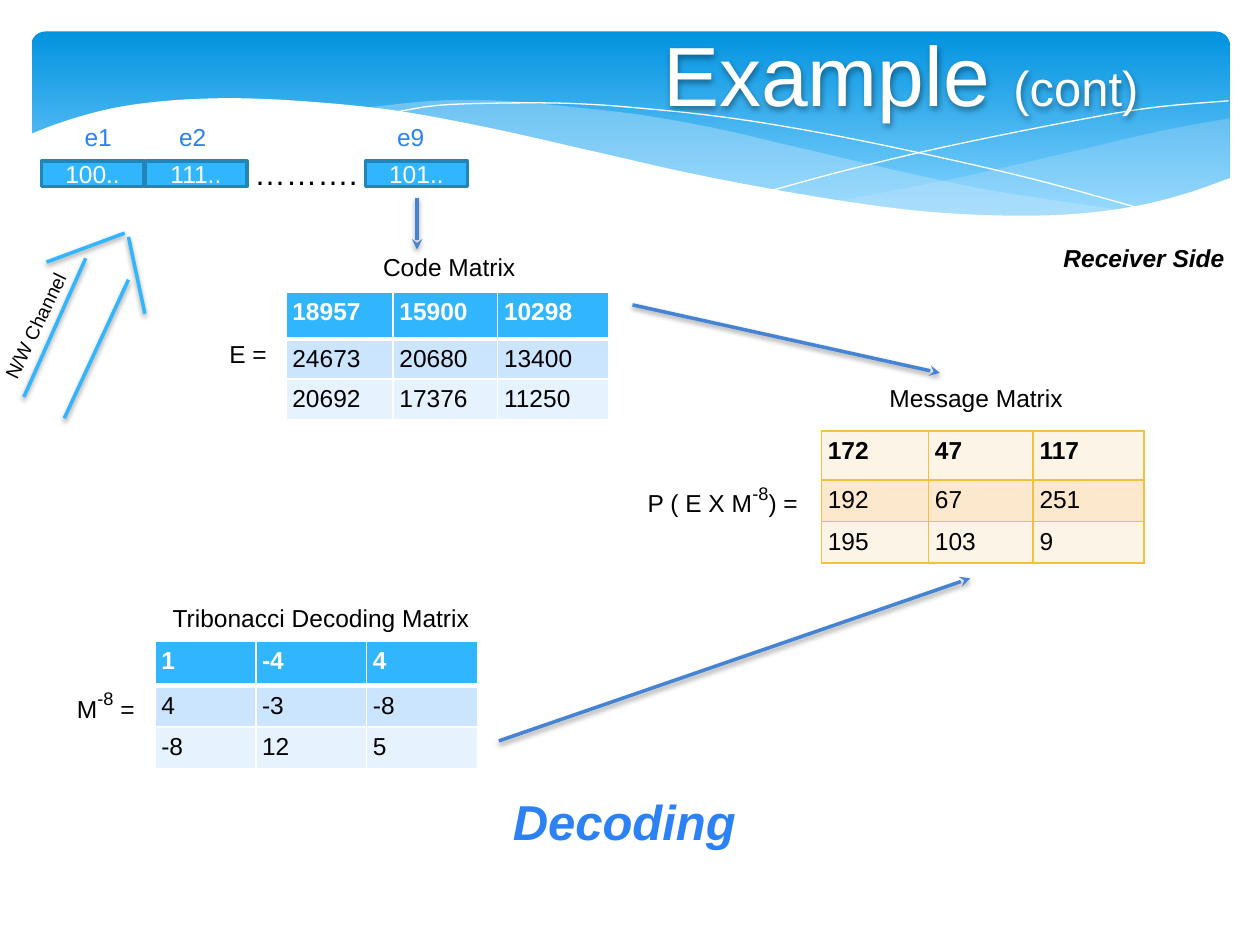
from lxml import etree
from pptx import Presentation
from pptx.dml.color import RGBColor
from pptx.enum.shapes import MSO_CONNECTOR, MSO_SHAPE
from pptx.enum.text import MSO_ANCHOR, MSO_AUTO_SIZE, PP_ALIGN
from pptx.oxml.ns import qn
from pptx.util import Inches, Pt

STRAIGHT = MSO_CONNECTOR.STRAIGHT
RECTANGLE, ROUNDED = MSO_SHAPE.RECTANGLE, MSO_SHAPE.ROUNDED_RECTANGLE
LEFT, CENTER = PP_ALIGN.LEFT, PP_ALIGN.CENTER
TOP, MIDDLE = MSO_ANCHOR.TOP, MSO_ANCHOR.MIDDLE
NO_AUTOFIT = MSO_AUTO_SIZE.NONE

THEME = {
    "font": "Arial",
    "title": 48, "large": 28, "dots": 18, "body": 14, "small": 11,
    "white": RGBColor.from_string("FFFFFF"),
    "black": RGBColor.from_string("000000"),
    "accent": RGBColor.from_string("31B6FD"),
    "accent edge": RGBColor.from_string("2384B8"),
    "arrow": RGBColor.from_string("4584D3"),
    "heading": RGBColor.from_string("2C82F4"),
    "banner top": RGBColor.from_string("0293E0"),
    "banner bottom": RGBColor.from_string("81D2FE"),
    "wave": RGBColor.from_string("C6E7FC"),
    "blue rows": [RGBColor.from_string(c) for c in ("31B6FD", "CCE5FE", "E7F2FF")],
    "gold rows": [RGBColor.from_string(c) for c in ("FDF4E8", "FBE8CD", "FDF4E8")],
    "gold": RGBColor.from_string("F5C040"),
}

# The slide is a grid of 100 columns by 75 rows of square units
UNIT = Inches(0.1)


def grid(*units):
    return [round(unit * UNIT) for unit in units]


def add_text(shape, *runs, size="body", color="black", bold=False, italic=False,
             align=LEFT, anchor=TOP, margin=0.5):
    """Fill a shape with one paragraph; a run is text or (text, size, baseline)."""
    frame = shape.text_frame
    frame.word_wrap, frame.auto_size = True, NO_AUTOFIT
    frame.vertical_anchor = anchor
    frame.margin_left = frame.margin_right = grid(margin)[0]
    frame.margin_top = frame.margin_bottom = grid(margin)[0]
    paragraph = frame.paragraphs[0]
    paragraph.alignment = align
    for part in runs:
        text, points, baseline = (part, THEME[size], 0) if isinstance(part, str) else part
        run = paragraph.add_run()
        run.text = text
        run.font.name, run.font.size = THEME["font"], Pt(points)
        run.font.bold, run.font.italic = bold, italic
        run.font.color.rgb = THEME[color]
        if baseline:
            run.font._element.set("baseline", str(baseline * 1000))


presentation = Presentation()
presentation.slide_width, presentation.slide_height = grid(100, 75)
slide = presentation.slides.add_slide(presentation.slide_layouts[5])
shapes = slide.shapes

# Banner
banner = shapes.add_shape(ROUNDED, *grid(2.5, 2.5, 95.1, 15.6))
banner.adjustments[0] = 0.07
banner.shadow.inherit = False
banner.line.fill.background()
banner.fill.gradient()
banner.fill.gradient_angle = 270
for stop, name, position in zip(banner.fill.gradient_stops,
                                ("banner top", "banner bottom"), (0, 0.9)):
    stop.color.rgb, stop.position = THEME[name], position

# Waves: smooth edges joined at corners, then fill colour and opacity (no fill: a line)
waves = [
    ([[(97.5, 9.4), (92.1, 10.4), (86.1, 11.8), (77.9, 13.7), (70.6, 15.2), (66.1, 16)],
      [(66.1, 16), (71.9, 16.7), (76.9, 17.1), (81.4, 17.2), (85.4, 17.0),
       (90.5, 16.3), (94.9, 15.2), (97.6, 14.1)],
      [(97.6, 14.1), (97.6, 9.4)]], "wave", 28),
    ([[(89.3, 16.7), (83.7, 15.9), (77.5, 14.9), (70.6, 13.4), (62.9, 11.6), (56.9, 10.2),
       (51.4, 9.2), (46.5, 8.6), (39.9, 8), (34.4, 8), (28.6, 8.6)],
      [(28.6, 8.6), (34.2, 9.4), (40.4, 10.6), (49.1, 12.6), (56.6, 14.3), (63.4, 15.6),
       (69.5, 16.5), (74.8, 17), (81.8, 17.3), (86.7, 17), (89.3, 16.7)]], "wave", 40),
    ([[(30.9, 9), (34.4, 8.4), (38.7, 8.2), (45, 8.2), (51, 8.6), (58.2, 9.4),
       (66.5, 10.8), (76, 12.8), (83.1, 14.5), (90.7, 16.6)]], None, 100),
    ([[(61.3, 15.1), (67.2, 13.5), (74.8, 11.7), (83.6, 9.9), (91, 8.6), (97.5, 8)]],
     None, 100),
    ([[(97.7, 14.1), (94, 15.4), (89.9, 16.4), (85, 17), (79.3, 17.1), (72.6, 16.7),
       (64.7, 15.6), (55.5, 13.9), (47.5, 12.1), (39.1, 10.2), (31.6, 8.8), (25, 8.1),
       (19.3, 7.8), (14.6, 7.9), (10.6, 8.3), (7.6, 8.9), (4.6, 9.8), (2.3, 10.7)],
      [(2.3, 22.4), (97.7, 22.4)]], "white", 100),
]
STEPS = 6
for edges, fill, opacity in waves:
    points = []
    for edge in edges:
        points.append(edge[0])
        padded = edge[:1] + edge + edge[-1:]
        for before, start, end, after in zip(padded, padded[1:], padded[2:], padded[3:]):
            for step in range(1, STEPS + 1):
                t = step / STEPS
                points.append([b + ((c - a) * t + (2 * a - 5 * b + 4 * c - d) * t ** 2
                                    + (3 * b - a - 3 * c + d) * t ** 3) / 2
                               - b / 2 + b / 2
                               for a, b, c, d in zip(before, start, end, after)])
    points = [grid(*point) for point in points]
    builder = shapes.build_freeform(*points[0], scale=1.0)
    builder.add_line_segments(points[1:], close=fill is not None)
    wave = builder.convert_to_shape()
    wave.shadow.inherit = False
    if fill:
        wave.fill.solid()
        wave.fill.fore_color.rgb = THEME[fill]
        wave.line.fill.background()
        color = wave._element.spPr.find(".//" + qn("a:srgbClr"))
        etree.SubElement(color, qn("a:alpha"), val=str(opacity * 1000))
    else:
        wave.fill.background()
        wave.line.color.rgb, wave.line.width = THEME["white"], Pt(0.75)

# Title, raised above the banner
title = shapes.title
title.left, title.top, title.width, title.height = grid(43, 0, 57, 11.5)
add_text(title, "Example ", ("(cont)", THEME["large"], 0), size="title",
         color="white", align=CENTER, anchor=MIDDLE)
shapes._spTree.append(title._element)

# Received blocks and their labels
for left, label_center, label, code in ((3.3, 7.8, "e1", "100.."), (11.5, 15.3, "e2", "111.."),
                                        (29, 32.6, "e9", "101..")):
    block = shapes.add_shape(RECTANGLE, *grid(left, 12.8, 8.1, 2))
    block.shadow.inherit = False
    block.fill.solid()
    block.fill.fore_color.rgb = THEME["accent"]
    block.line.color.rgb, block.line.width = THEME["accent edge"], Pt(2)
    add_text(block, code, color="white", align=CENTER, anchor=MIDDLE, margin=0)
    label_box = shapes.add_textbox(*grid(label_center - 3, 9.2, 6, 3.2))
    add_text(label_box, label, color="heading", align=CENTER)

# Matrices: position, column widths, row heights, values, row fills, borders
matrices = [
    ((22.7, 23.2), (8.5, 8.3, 8.8), (3.7, 3.2, 3.1), "blue rows", "white", "white", 3,
     (("18957", "15900", "10298"), ("24673", "20680", "13400"), ("20692", "17376", "11250"))),
    ((12.3, 50.9), (8, 8.8, 8.8), (3.5, 3.3, 3.3), "blue rows", "white", "white", 3,
     (("1", "-4", "4"), ("4", "-3", "-8"), ("-8", "12", "5"))),
    ((65.2, 34.2), (8.5, 8.3, 8.8), (3.9, 3.3, 3.3), "gold rows", "black", "gold", 1,
     (("172", "47", "117"), ("192", "67", "251"), ("195", "103", "9"))),
]
for corner, widths, heights, fills, header_color, border, header_rule, values in matrices:
    table = shapes.add_table(len(heights), len(widths),
                             *grid(*corner, sum(widths), sum(heights))).table
    for column, width in zip(table.columns, grid(*widths)):
        column.width = width
    for r, (row, height) in enumerate(zip(table.rows, grid(*heights))):
        row.height = height
        for cell, value in zip(row.cells, values[r]):
            cell.fill.solid()
            cell.fill.fore_color.rgb = THEME[fills][r]
            cell.margin_left = cell.margin_right = grid(0.5)[0]
            cell.margin_top = cell.margin_bottom = grid(0.5)[0]
            run = cell.text_frame.paragraphs[0].add_run()
            run.text = value
            run.font.name, run.font.size = THEME["font"], Pt(THEME["body"])
            run.font.bold = r == 0
            run.font.color.rgb = THEME[header_color if r == 0 else "black"]
            rules = {"a:lnL": 1, "a:lnR": 1, "a:lnT": header_rule if r == 1 else 1,
                     "a:lnB": header_rule if r == 0 else 1}
            for index, (side, weight) in enumerate(rules.items()):
                line = etree.Element(qn(side), w=str(Pt(weight)))
                solid = etree.SubElement(line, qn("a:solidFill"))
                etree.SubElement(solid, qn("a:srgbClr"), val=str(THEME[border]))
                cell._tc.get_or_add_tcPr().insert(index, line)

# Captions and formulas
exponent = ("-8", 18, 40)
captions = [
    ((29.9, 19.5, 13, 3.2), ["Code Matrix"], {}),
    ((17.7, 26.4, 5, 3.2), ["E ="], {}),
    ((13.2, 47.4, 26, 3.4), ["Tribonacci Decoding Matrix"], {}),
    ((5.6, 54, 6.5, 3.7), ["M", exponent, " ="], {}),
    ((70.1, 29.9, 17, 3.2), ["Message Matrix"], {}),
    ((50.9, 37.7, 15, 3.7), ["P ( E X M", exponent, ") ="], {}),
    ((19.7, 11.7, 10.4, 3.8), ["………."], {"size": "dots"}),
    ((83.9, 18.8, 15, 3.2), ["Receiver Side"], {"bold": True, "italic": True}),
    ((40.2, 62.3, 21, 5.3), ["Decoding"],
     {"size": "large", "color": "heading", "bold": True, "italic": True}),
]
for box, runs, style in captions:
    add_text(shapes.add_textbox(*grid(*box)), *runs, **style)
channel = shapes.add_textbox(*grid(-2.5, 24.3, 10.6, 2.6))
channel.rotation = 295.8
add_text(channel, "N/W Channel", size="small")

# Channel outline and flow arrows
shadowed = [title]
for color, ends in (("accent", (1.9, 31.5, 6.8, 20.5)), ("accent", (5.1, 33.2, 10.2, 22.2)),
                    ("accent", (3.7, 20.8, 9.9, 18.5)), ("accent", (11.5, 24.9, 10.2, 18.8)),
                    ("arrow", (50.2, 24.2, 74.6, 29.6)), ("arrow", (39.6, 58.8, 77, 45.9)),
                    ("arrow", (33.1, 15.7, 33.1, 19.8))):
    connector = shapes.add_connector(STRAIGHT, *grid(*ends))
    connector.line.color.rgb, connector.line.width = THEME[color], Pt(2)
    if color == "arrow":
        etree.SubElement(connector.line._get_or_add_ln(), qn("a:tailEnd"), type="stealth")
    shadowed.append(connector)

# Soft shadows below the title and the lines
for shape in shadowed:
    effects = etree.SubElement(shape._element.spPr, qn("a:effectLst"))
    shadow = etree.SubElement(effects, qn("a:outerShdw"), blurRad=str(Pt(3)),
                              dist=str(Pt(1.6)), dir="5400000", rotWithShape="0")
    color = etree.SubElement(shadow, qn("a:srgbClr"), val=str(THEME["black"]))
    etree.SubElement(color, qn("a:alpha"), val="38000")

presentation.save("out.pptx")
